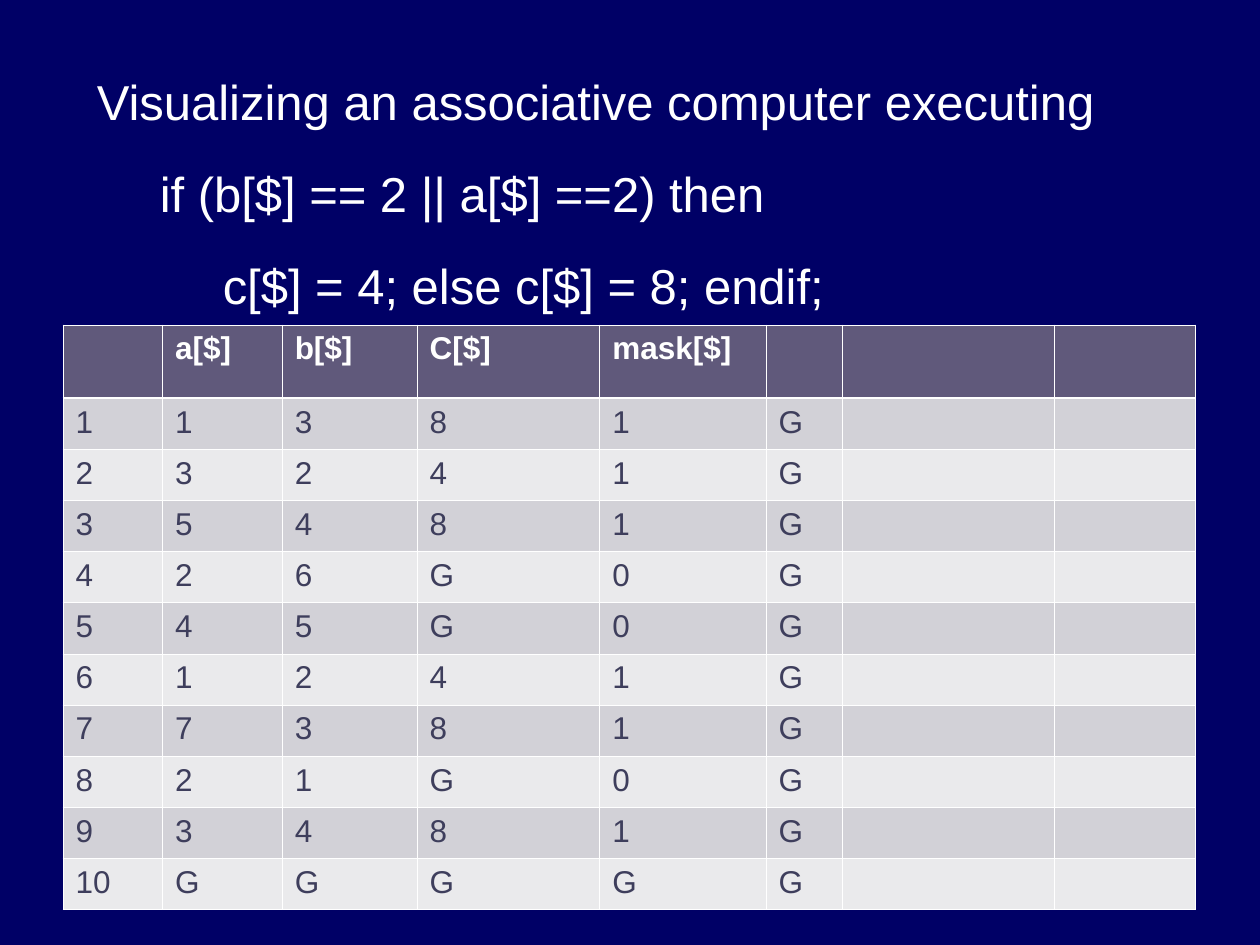
from lxml.etree import SubElement
from pptx import Presentation
from pptx.dml.color import RGBColor
from pptx.oxml.ns import qn
from pptx.util import Inches, Pt

FONT = "Arial"
NAVY, WHITE, INK = "000066", "FFFFFF", "3E3E5C"
HEADER_FILL, BAND_FILLS = "60597B", ("D2D1D7", "EAEAEC")
THIN, THICK = 0.45, 1.47

TITLE_LINES = [
    "Visualizing an associative computer executing",
    "\tif (b[$] == 2 || a[$] ==2) then",
    "\t\tc[$] = 4; else c[$] = 8; endif;",
]
ROWS = [
    ("", "a[$]", "b[$]", "C[$]", "mask[$]", "", "", ""),
    ("1", "1", "3", "8", "1", "G", "", ""),
    ("2", "3", "2", "4", "1", "G", "", ""),
    ("3", "5", "4", "8", "1", "G", "", ""),
    ("4", "2", "6", "G", "0", "G", "", ""),
    ("5", "4", "5", "G", "0", "G", "", ""),
    ("6", "1", "2", "4", "1", "G", "", ""),
    ("7", "7", "3", "8", "1", "G", "", ""),
    ("8", "2", "1", "G", "0", "G", "", ""),
    ("9", "3", "4", "8", "1", "G", "", ""),
    ("10", "G", "G", "G", "G", "G", "", ""),
]
COLUMN_WIDTHS = (0.79, 0.95, 1.07, 1.45, 1.32, 0.61, 1.68, 1.12)
TABLE_HEIGHT, HEADER_HEIGHT = 4.64, 0.58


def color(value):
    return RGBColor.from_string(value)


def style_text(paragraph, size, value, bold=False):
    font = paragraph.font
    font.name, font.size, font.bold = FONT, Pt(size), bold
    font.color.rgb = color(value)


def add_borders(cell, top, bottom):
    properties = cell._tc.get_or_add_tcPr()
    for tag, width in (("lnL", THIN), ("lnR", THIN), ("lnT", top), ("lnB", bottom)):
        line = SubElement(properties, qn(f"a:{tag}"), w=str(Pt(width)))
        fill = SubElement(line, qn("a:solidFill"))
        SubElement(fill, qn("a:srgbClr"), val=WHITE)


def add_title(slide):
    box = slide.shapes.add_textbox(Inches(0.67), Inches(0.5), Inches(8.67), Inches(1.99))
    frame = box.text_frame
    frame.word_wrap = True
    frame.text = "\n".join(TITLE_LINES)
    for index, paragraph in enumerate(frame.paragraphs):
        paragraph.line_spacing = 1.04
        paragraph.space_before = Pt(17.5 if index else 0)
        style_text(paragraph, 28, WHITE)


def add_state_table(slide):
    frame = slide.shapes.add_table(
        len(ROWS), len(COLUMN_WIDTHS), Inches(0.5), Inches(2.58), Inches(9), Inches(TABLE_HEIGHT)
    )
    table = frame.table
    for column, width in zip(table.columns, COLUMN_WIDTHS):
        column.width = Inches(width)
    body_height = (TABLE_HEIGHT - HEADER_HEIGHT) / (len(ROWS) - 1)
    for index, values in enumerate(ROWS):
        header = index == 0
        table.rows[index].height = Inches(HEADER_HEIGHT if header else body_height)
        for cell, value in zip(table.rows[index].cells, values):
            cell.text = value
            add_borders(cell, THICK if index == 1 else THIN, THICK if header else THIN)
            cell.fill.solid()
            cell.fill.fore_color.rgb = color(HEADER_FILL if header else BAND_FILLS[(index - 1) % 2])
            style_text(cell.text_frame.paragraphs[0], 18, WHITE if header else INK, header)


def main():
    """Build the slide with the associative computer's state table."""
    presentation = Presentation()
    presentation.slide_width, presentation.slide_height = Inches(10), Inches(7.5)
    slide = presentation.slides.add_slide(presentation.slide_layouts[6])
    slide.background.fill.solid()
    slide.background.fill.fore_color.rgb = color(NAVY)
    add_state_table(slide)
    add_title(slide)
    presentation.save("out.pptx")


if __name__ == "__main__":
    main()
